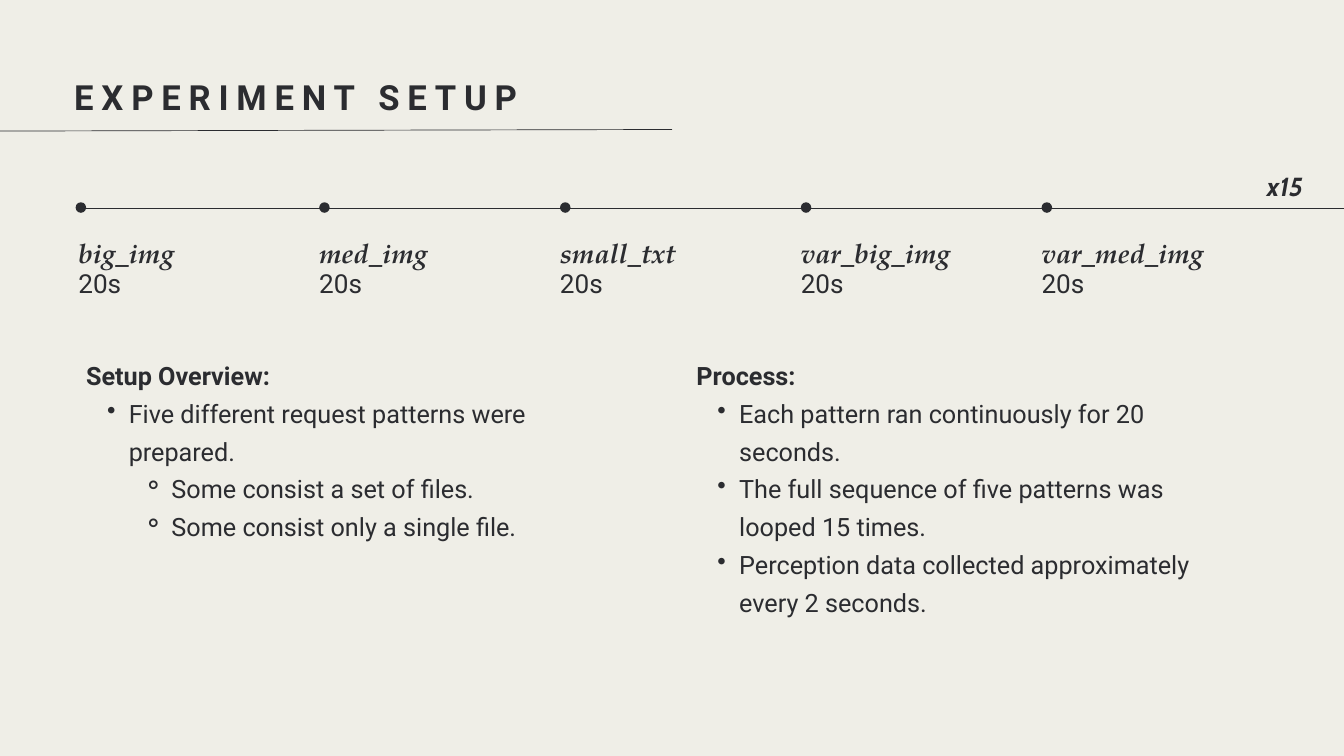
from dataclasses import dataclass

from lxml import etree
from pptx import Presentation
from pptx.dml.color import RGBColor
from pptx.enum import shapes, text
from pptx.oxml import ns
from pptx.util import Pt

PX = 9525  # EMU per px, 96 px to the inch
INK = RGBColor(0x2B, 0x2C, 0x30)
PAPER = RGBColor(0xEF, 0xEE, 0xE7)

TITLE = dict(name="Roboto", size=Pt(37.1), bold=True)
PATTERN = dict(name="TeX Gyre Pagella", size=Pt(29), bold=True, italic=True)
DURATION = dict(name="Roboto", size=Pt(28))
REPEAT = dict(name="Cabin", size=Pt(28), bold=True, italic=True)
HEADING = dict(name="Roboto", size=Pt(27), bold=True)
BODY = dict(name="Roboto", size=Pt(27), bold=False)


@dataclass
class Bullet:
    char: str
    margin: int
    hang: int


# Bullets by paragraph level
BULLETS = {1: Bullet("•", 61, 31), 2: Bullet("⚬", 122, 41)}


@dataclass
class Para:
    words: str
    style: dict
    leading: float
    level: int = 0
    tracking: int = 0


@dataclass
class Column:
    x: int
    height: int
    heading: str
    items: list[tuple[int, str]]


def add_text(s, x: int, y: int, w: int, h: int, paras: list[Para]) -> None:
    sp = s.shapes.add_textbox(x * PX, y * PX, w * PX, h * PX)
    tf = sp.text_frame
    frame = dict(margin_left=0, margin_top=0, margin_right=0, margin_bottom=0,
                 word_wrap=True, auto_size=text.MSO_AUTO_SIZE.SHAPE_TO_FIT_TEXT)
    for key, value in frame.items():
        setattr(tf, key, value)
    for i, para in enumerate(paras):
        p = tf.add_paragraph() if i else tf.paragraphs[0]
        p.level = para.level
        p.line_spacing = Pt(para.leading)
        if para.level:
            bullet = BULLETS[para.level]
            pPr = p._p.get_or_add_pPr()
            pPr.set("marL", str(bullet.margin * PX))
            pPr.set("indent", str(-bullet.hang * PX))
            etree.SubElement(pPr, ns.qn("a:buChar")).set("char", bullet.char)
        r = p.add_run()
        r.text = para.words
        for key, value in para.style.items():
            setattr(r.font, key, value)
        r.font.color.rgb = INK
        if para.tracking:
            r._r.get_or_add_rPr().set("spc", str(para.tracking))


def add_line(s, x1: int, y1: int, x2: int, y2: int) -> None:
    line = s.shapes.add_connector(shapes.MSO_CONNECTOR.STRAIGHT,
                                  x1 * PX, y1 * PX, x2 * PX, y2 * PX)
    line.line.color.rgb = INK
    line.line.width = Pt(0.75)
    etree.SubElement(line._element.spPr, ns.qn("a:effectLst"))


def add_dot(s, x: int, y: int, size: int) -> None:
    sp = s.shapes.add_shape(shapes.MSO_SHAPE.OVAL, x * PX, y * PX, size * PX, size * PX)
    sp.shadow.inherit = False
    sp.fill.solid()
    sp.fill.fore_color.rgb = INK
    sp.line.fill.background()


def add_column(s, col: Column) -> None:
    paras = [Para(col.heading, HEADING, 40.5)]
    paras += [Para(words, BODY, 40.5, level) for level, words in col.items]
    add_text(s, col.x, 504, 737, col.height, paras)


PATTERNS = ["big_img", "med_img", "small_txt", "var_big_img", "var_med_img"]
COLUMNS = [
    Column(123, 484, "Setup Overview:", [
        (1, "Five different request patterns were prepared."),
        (2, "Some consist a set of files."),
        (2, "Some consist only a single file."),
    ]),
    Column(995, 539, "Process:", [
        (1, "Each pattern ran continuously for 20 seconds."),
        (1, "The full sequence of five patterns was looped 15 times."),
        (1, "Perception data collected approximately every 2 seconds."),
    ]),
]


def main() -> None:
    prs = Presentation()
    prs.slide_width, prs.slide_height = 1920 * PX, 1080 * PX
    s = prs.slides.add_slide(prs.slide_layouts[6])
    s.background.fill.solid()
    s.background.fill.fore_color.rgb = PAPER

    # Title and its rule
    add_text(s, 106, 99, 1704, 68,
             [Para("EXPERIMENT SETUP", TITLE, 52, tracking=840)])
    add_line(s, -744, 189, 960, 185)

    # Timeline: one dot, name and duration per pattern
    for i, name in enumerate(PATTERNS):
        x = 112 + 344 * i
        add_text(s, x, 338, 293, 45, [Para(name, PATTERN, 34.8)])
        add_text(s, x, 382, 293, 45, [Para("20s", DURATION, 33.6)])
        add_dot(s, x if i else x - 4, 289, 15)
    add_line(s, 118, 297, 1945, 297)
    add_text(s, 1810, 243, 293, 45, [Para("x15", REPEAT, 33.6)])

    # Explanations
    for col in COLUMNS:
        add_column(s, col)

    prs.save("out.pptx")


if __name__ == "__main__":
    main()
